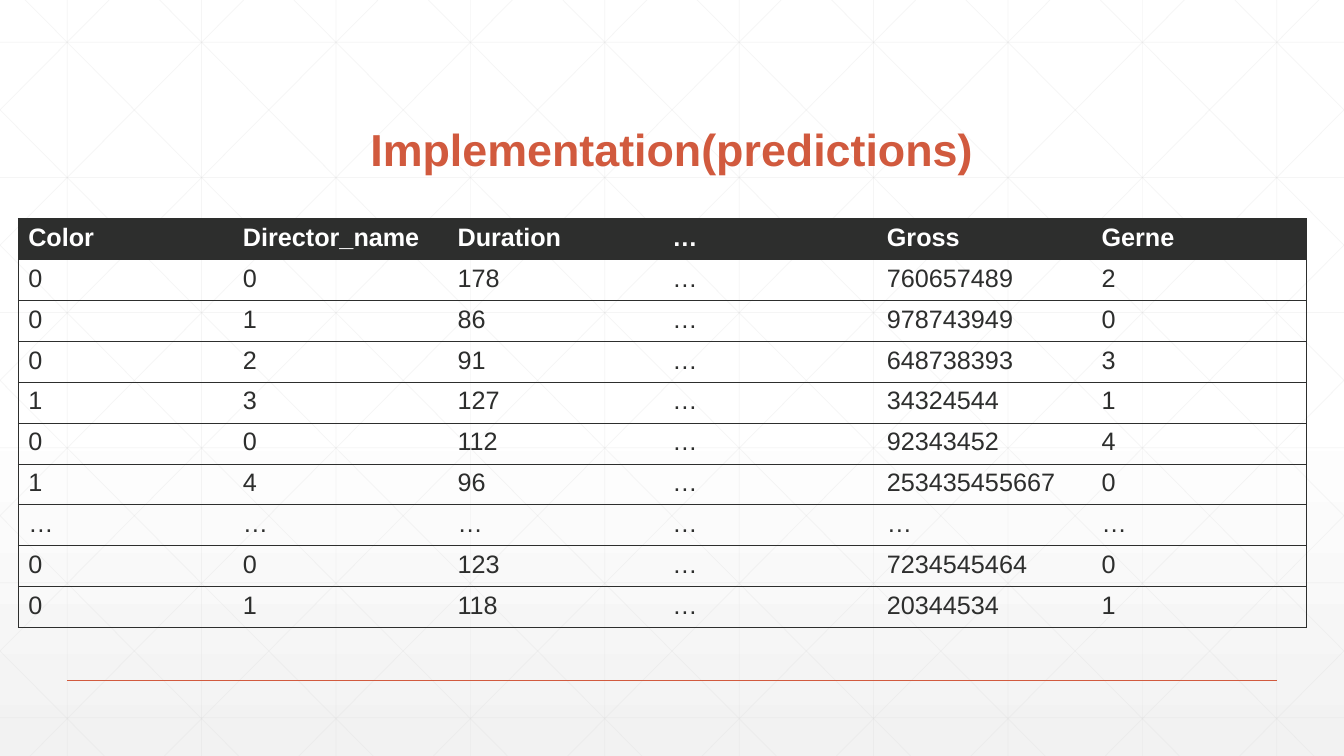
import pptx
import pptx.util
import pptx.dml.color
import pptx.enum.shapes
import pptx.enum.text
import pptx.oxml.ns
import lxml.etree

Pt = pptx.util.Pt
RGB = pptx.dml.color.RGBColor
qn = pptx.oxml.ns.qn
sub = lxml.etree.SubElement

WHITE = RGB(0xFF, 0xFF, 0xFF)
PALE = RGB(0xF2, 0xF2, 0xF2)
GRID = RGB(0xD9, 0xD9, 0xD9)
RUST = RGB(0xD1, 0x5A, 0x3E)
DARK = RGB(0x2D, 0x2E, 0x2D)

WIDE, HIGH = 960, 540
STEP = 96
RUN = 536.5
PLAIN = "{2D5ABB26-0587-4C30-8999-92F81FD0307C}"

ROWS = [
    ("Color", "Director_name", "Duration", "…", "Gross", "Gerne"),
    ("0", "0", "178", "…", "760657489", "2"),
    ("0", "1", "86", "…", "978743949", "0"),
    ("0", "2", "91", "…", "648738393", "3"),
    ("1", "3", "127", "…", "34324544", "1"),
    ("0", "0", "112", "…", "92343452", "4"),
    ("1", "4", "96", "…", "253435455667", "0"),
    ("…",) * 6,
    ("0", "0", "123", "…", "7234545464", "0"),
    ("0", "1", "118", "…", "20344534", "1"),
]


def set_font(para, size, color, bold):
    font = para.font
    font.name = "Arial"
    font.size = Pt(size)
    font.bold = bold
    font.color.rgb = color


def add_line(slide, x1, y1, x2, y2, color, width, alpha=None):
    kind = pptx.enum.shapes.MSO_CONNECTOR.STRAIGHT
    line = slide.shapes.add_connector(kind, Pt(x1), Pt(y1), Pt(x2), Pt(y2))
    line.line.color.rgb = color
    line.line.width = Pt(width)
    props = line._element.spPr
    sub(props, qn("a:effectLst"))
    if alpha:
        tint = props.find(".//" + qn("a:srgbClr"))
        sub(tint, qn("a:alpha"), val=str(alpha * 1000))


def paint_back(slide):
    fill = slide.background.fill
    fill.gradient()
    fill.gradient_angle = 270
    for stop, place, color in zip(fill.gradient_stops, (0.53, 1), (WHITE, PALE)):
        stop.position = place
        stop.color.rgb = color


def add_grid(slide):
    lines = [(48 + STEP * i, 0, 48 + STEP * i, HIGH) for i in range(10)]
    lines += [(0, 30.25 + 96.5 * i, WIDE, 30.25 + 96.5 * i) for i in range(6)]
    slope = HIGH / RUN
    for i in range(-5, 10):
        start = 18 + STEP * i
        x1, x2 = max(start, 0), min(start + RUN, WIDE)
        y1, y2 = (x1 - start) * slope, (x2 - start) * slope
        lines += [(x1, y1, x2, y2), (WIDE - x1, y1, WIDE - x2, y2)]
    for ends in lines:
        add_line(slide, *ends, GRID, 0.5, 25)


def add_title(slide, text):
    box = slide.shapes.add_textbox(Pt(102), Pt(39.5), Pt(756), Pt(90))
    frame = box.text_frame
    frame.word_wrap = True
    frame.vertical_anchor = pptx.enum.text.MSO_ANCHOR.BOTTOM
    para = frame.paragraphs[0]
    para.text = text
    para.alignment = pptx.enum.text.PP_ALIGN.CENTER
    para.line_spacing = 0.9
    set_font(para, 32, RUST, True)


def add_edges(cell, sides):
    props = cell._tc.get_or_add_tcPr()
    for i, side in enumerate(sides):
        edge = lxml.etree.Element(qn("a:ln" + side), w=str(Pt(0.5)))
        fill = sub(edge, qn("a:solidFill"))
        sub(fill, qn("a:srgbClr"), val=str(DARK))
        props.insert(i, edge)


def add_table(slide, rows):
    count = len(rows[0])
    frame = slide.shapes.add_table(
        len(rows), count, Pt(13), Pt(156), Pt(920), Pt(292.5))
    table = frame.table
    table.horz_banding = False
    table._tbl.tblPr.find(qn("a:tableStyleId")).text = PLAIN
    for r, row in enumerate(rows):
        head = r == 0
        for c, text in enumerate(row):
            cell = table.cell(r, c)
            if head:
                cell.fill.solid()
                cell.fill.fore_color.rgb = DARK
            else:
                cell.fill.background()
            left = "L" if c == 0 else ""
            right = "R" if c == count - 1 else ""
            add_edges(cell, left + right + "TB")
            para = cell.text_frame.paragraphs[0]
            para.text = text
            set_font(para, 18, WHITE if head else DARK, head)


def main():
    deck = pptx.Presentation()
    deck.slide_width, deck.slide_height = Pt(WIDE), Pt(HIGH)
    slide = deck.slides.add_slide(deck.slide_layouts[6])
    paint_back(slide)
    add_grid(slide)
    add_line(slide, 48, 486, 912, 486, RUST, 1)
    add_title(slide, "Implementation(predictions)")
    add_table(slide, ROWS)
    deck.save("out.pptx")


main()
